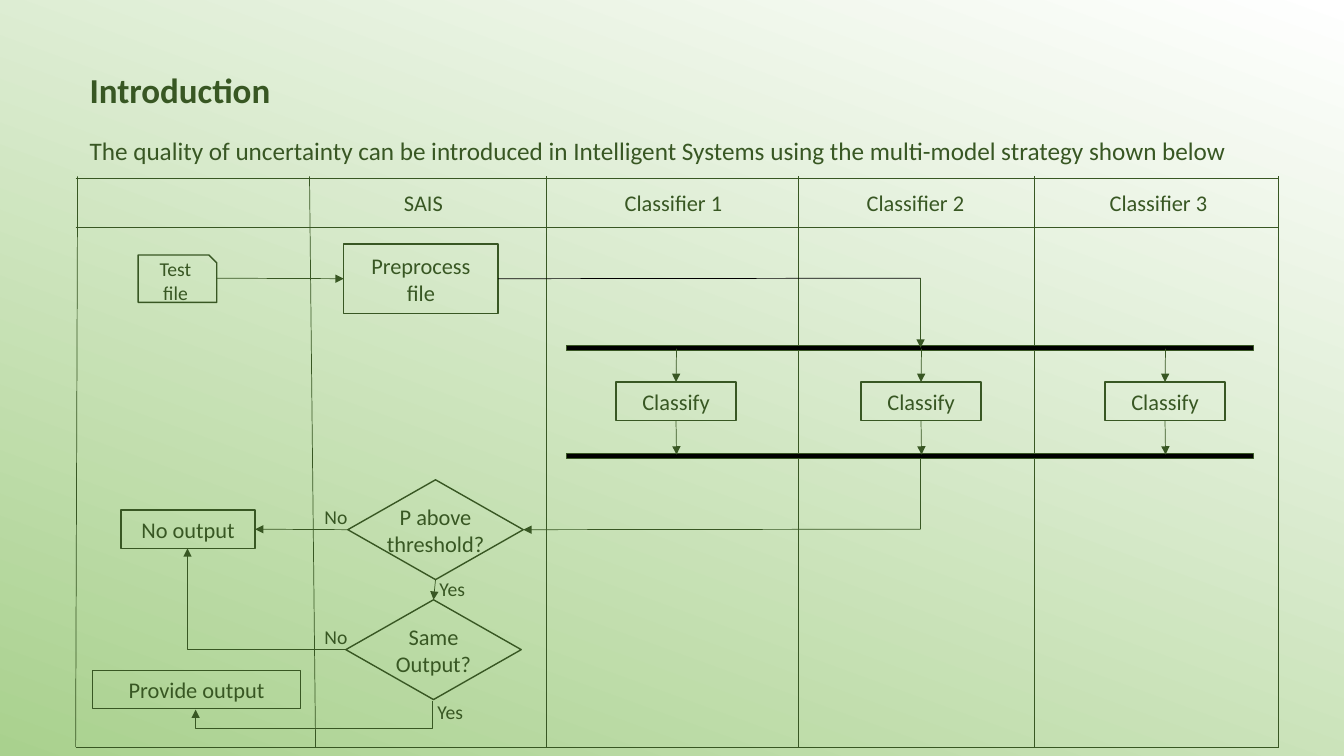
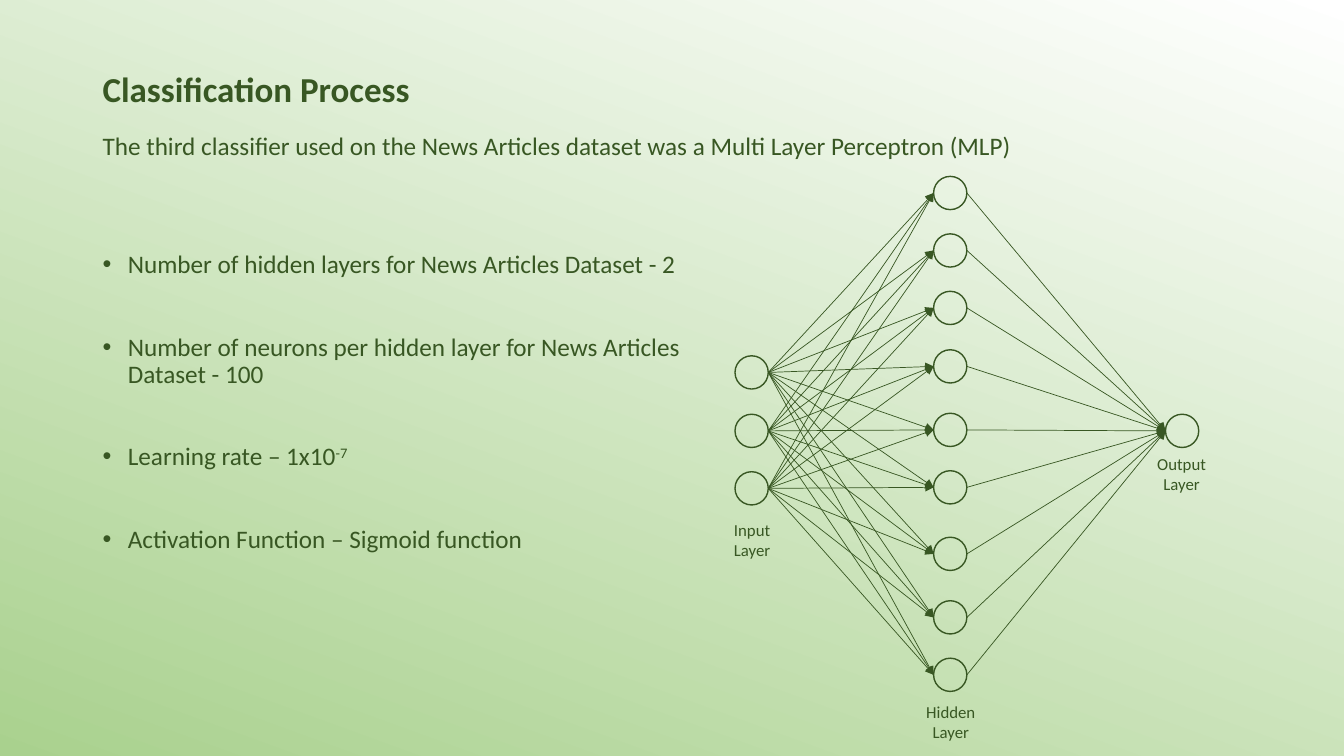
"""Build two slides on a multi-model classification strategy."""
from lxml import etree
from pptx import Presentation
from pptx.dml.color import RGBColor
from pptx.enum.shapes import MSO_CONNECTOR, MSO_SHAPE
from pptx.enum.text import MSO_ANCHOR, PP_ALIGN
from pptx.oxml.ns import qn
from pptx.util import Inches, Pt

COLORS = {"ink": "385723", "pale": "FFFFFF", "leaf": "A9D18E", "bar": "000000"}
FONT = "Calibri"
STRAIGHT, ELBOW = MSO_CONNECTOR.STRAIGHT, MSO_CONNECTOR.ELBOW
RECT, DIAMOND, OVAL = MSO_SHAPE.RECTANGLE, MSO_SHAPE.DIAMOND, MSO_SHAPE.OVAL
SNIPPED = MSO_SHAPE.SNIP_1_RECTANGLE
TOP, MIDDLE = MSO_ANCHOR.TOP, MSO_ANCHOR.MIDDLE
LEFT, CENTER, JUSTIFY = PP_ALIGN.LEFT, PP_ALIGN.CENTER, PP_ALIGN.JUSTIFY
TOP_SIDE, LEFT_SIDE, BOTTOM_SIDE, RIGHT_SIDE = range(4)
NODE = 0.33


def rgb(name):
    """Return a palette colour."""
    return RGBColor.from_string(COLORS[name])


def inches(values):
    """Convert numbers to lengths."""
    return [Inches(value) for value in values]


def add_bullet(paragraph):
    """Give a paragraph a hanging bullet."""
    properties = paragraph._p.get_or_add_pPr()
    properties.set("marL", str(Inches(0.25)))
    properties.set("indent", str(Inches(-0.25)))
    etree.SubElement(properties, qn("a:buFont")).set("typeface", "Arial")
    etree.SubElement(properties, qn("a:buChar")).set("char", "•")


def write(frame, text, size=16, bold=False, align=CENTER, anchor=TOP,
          wrap=True, spacing=1.0, before=0, bullet=False):
    """Write one paragraph a line; text after a caret is superscript."""
    frame.word_wrap = wrap
    frame.vertical_anchor = anchor
    for index, line in enumerate(text.split("\n")):
        paragraph = frame.paragraphs[0] if index == 0 else frame.add_paragraph()
        paragraph.alignment = align
        paragraph.line_spacing = spacing
        if index:
            paragraph.space_before = Pt(before)
        if bullet:
            add_bullet(paragraph)
        for position, part in enumerate(line.split("^")):
            run = paragraph.add_run()
            run.text = part
            run.font.name = FONT
            run.font.size = Pt(size)
            run.font.bold = bold
            run.font.color.rgb = rgb("ink")
            if position:
                run._r.get_or_add_rPr().set("baseline", "30000")


def add_text(slide, box, text, **style):
    """Add a text box."""
    write(slide.shapes.add_textbox(*inches(box)).text_frame, text, **style)


def add_node(slide, kind, box, text="", fill=None, size=16):
    """Add an outlined shape with optional centred text."""
    node = slide.shapes.add_shape(kind, *inches(box))
    node.shadow.inherit = False
    node.line.color.rgb = rgb("ink")
    node.line.width = Pt(1)
    if fill:
        node.fill.solid()
        node.fill.fore_color.rgb = rgb(fill)
    else:
        node.fill.background()
    if text:
        frame = node.text_frame
        frame.margin_left = frame.margin_right = 0
        frame.margin_top = frame.margin_bottom = 0
        write(frame, text, size=size, anchor=MIDDLE, wrap=False)
    return node


def add_line(slide, start, end, kind=STRAIGHT, arrow=True, color="ink",
             source=None, target=None):
    """Add a thin connector; source and target are (shape, side) pairs."""
    line = slide.shapes.add_connector(kind, *inches((*start, *end)))
    line.line.color.rgb = rgb(color)
    line.line.width = Pt(0.5)
    if arrow:
        etree.SubElement(line.line._get_or_add_ln(), qn("a:tailEnd")).set("type", "triangle")
    etree.SubElement(line._element.spPr, qn("a:effectLst"))
    if source:
        line.begin_connect(*source)
    if target:
        line.end_connect(*target)
    return line


def add_elbow(slide, box, preset, degrees, bend=None):
    """Add a rotated elbow arrow, given its box before rotation."""
    left, top, width, height = box
    elbow = add_line(slide, (left, top), (left + width, top + height), kind=ELBOW)
    properties = elbow._element.spPr
    properties.find(qn("a:xfrm")).set("rot", str(degrees * 60000))
    geometry = properties.find(qn("a:prstGeom"))
    geometry.set("prst", preset)
    if bend:
        guide = etree.SubElement(geometry.find(qn("a:avLst")), qn("a:gd"))
        guide.set("name", "adj1")
        guide.set("fmla", f"val {bend}")


def new_slide(deck, title, title_box, subtitle, subtitle_box, **subtitle_style):
    """Add a slide with the shared background, title and subtitle."""
    slide = deck.slides.add_slide(deck.slide_layouts[6])
    fill = slide.background.fill
    fill.gradient()
    fill.gradient_angle = 250
    for stop, position, color in zip(fill.gradient_stops, (0, 1), ("pale", "leaf")):
        stop.position = position
        stop.color.rgb = rgb(color)
    add_text(slide, title_box, title, size=25, bold=True, align=LEFT,
             anchor=MIDDLE, spacing=0.9)
    add_text(slide, subtitle_box, subtitle, size=18, **subtitle_style)
    return slide


def add_lanes(slide):
    """Draw the swimlane grid and its headings."""
    for y in (1.77, 2.26, 7.41):
        add_line(slide, (0.75, y), (12.69, y), arrow=False)
    for top_x, bottom_x in ((0.77, 0.75), (3.07, 3.13), (5.42, 5.42),
                            (7.92, 7.92), (10.26, 10.26), (12.68, 12.68)):
        add_line(slide, (top_x, 1.75), (bottom_x, 7.41), arrow=False)
    for center, heading in ((4.2, "SAIS"), (6.68, "Classifier 1"),
                            (9.08, "Classifier 2"), (11.49, "Classifier 3")):
        add_text(slide, (center - 0.75, 1.83, 1.5, 0.37), heading)


def add_classifiers(slide):
    """Draw the parallel classifiers between the fork and join bars."""
    for y in (3.43, 4.5):
        add_node(slide, RECT, (5.62, y, 6.81, 0.05), fill="bar")
    for left in (6.11, 8.54, 10.96):
        classify = add_node(slide, RECT, (left, 3.79, 1.19, 0.38), "Classify")
        center = left + 0.6
        add_line(slide, (center, 3.46), (center, 3.79), target=(classify, TOP_SIDE))
        add_line(slide, (center, 4.17), (center, 4.51), source=(classify, BOTTOM_SIDE))


def build_introduction(deck):
    """Build the multi-model strategy flowchart."""
    slide = new_slide(
        deck, "Introduction", (0.79, 0.56, 11.5, 0.7),
        "The quality of uncertainty can be introduced in Intelligent Systems "
        "using the multi-model strategy shown below",
        (0.79, 1.33, 11.51, 0.4), align=LEFT, spacing=0.9)
    add_lanes(slide)
    add_classifiers(slide)
    add_node(slide, SNIPPED, (1.37, 2.53, 0.78, 0.47), "Test\nfile", size=14)
    preprocess = add_node(slide, RECT, (3.41, 2.42, 1.53, 0.69), "Preprocess\nfile")
    threshold = add_node(slide, DIAMOND, (3.45, 4.76, 1.74, 0.99), "P above\nthreshold?")
    same = add_node(slide, DIAMOND, (3.43, 5.95, 1.74, 0.99), "Same\nOutput?")
    no_output = add_node(slide, RECT, (1.2, 5.06, 1.33, 0.38), "No output")
    add_node(slide, RECT, (0.92, 6.65, 2.06, 0.38), "Provide output")

    add_line(slide, (2.15, 2.76), (3.41, 2.76), target=(preprocess, LEFT_SIDE))
    add_line(slide, (4.94, 2.76), (9.13, 2.76), arrow=False, color="bar",
             source=(preprocess, RIGHT_SIDE))
    add_line(slide, (9.13, 2.76), (9.13, 3.45))
    add_line(slide, (9.13, 4.55), (9.13, 5.25), arrow=False)
    add_line(slide, (9.13, 5.25), (5.19, 5.25), target=(threshold, RIGHT_SIDE))
    add_line(slide, (3.45, 5.25), (2.53, 5.25),
             source=(threshold, LEFT_SIDE), target=(no_output, RIGHT_SIDE))
    add_line(slide, (4.32, 5.75), (4.3, 5.95),
             source=(threshold, BOTTOM_SIDE), target=(same, TOP_SIDE))
    add_elbow(slide, (1.86, 5.44, 1.57, 1), "bentConnector2", 180)
    add_elbow(slide, (3.07, 5.82, 0.09, 2.35), "bentConnector3", 90, bend=306100)
    for left, top, answer in ((3.12, 4.96, "No"), (3.12, 6.15, "No"),
                              (4.26, 5.67, "Yes"), (4.24, 6.89, "Yes")):
        add_text(slide, (left, top, 0.46, 0.34), answer, size=14, align=LEFT, wrap=False)


def add_layer(slide, left, tops):
    """Draw one column of neurons and return their tops' midlines."""
    for top in tops:
        add_node(slide, OVAL, (left, top, NODE, NODE))
    return [top + NODE / 2 for top in tops]


def link_layers(slide, left, starts, right, ends):
    """Link every neuron of one layer to every neuron of the next."""
    for start in starts:
        for end in ends:
            add_line(slide, (left + NODE, start), (right, end))


def build_classification(deck):
    """Build the perceptron slide."""
    slide = new_slide(
        deck, "Classification Process", (0.92, 0.72, 11.5, 0.36),
        "The third classifier used on the News Articles dataset was a "
        "Multi Layer Perceptron (MLP)",
        (0.92, 1.24, 11.5, 0.4), align=JUSTIFY)
    add_text(slide, (0.92, 2.45, 6.04, 4.9),
             "Number of hidden layers for News Articles Dataset - 2\n"
             "Number of neurons per hidden layer for News Articles Dataset - 100\n"
             "Learning rate – 1x10^-7\n"
             "Activation Function – Sigmoid function",
             size=18, align=LEFT, spacing=0.9, before=39.5, bullet=True)
    input_x, hidden_x, output_x = 7.29, 9.26, 11.56
    inputs = add_layer(slide, input_x, (3.53, 4.11, 4.68))
    hidden = add_layer(slide, hidden_x,
                       (1.75, 2.32, 2.89, 3.47, 4.1, 4.67, 5.33, 5.96, 6.53))
    outputs = add_layer(slide, output_x, (4.11,))
    link_layers(slide, input_x, inputs, hidden_x, hidden)
    link_layers(slide, hidden_x, hidden, output_x, outputs)
    for box, label in (((7.13, 5.11, 0.66, 0.5), "Input Layer"),
                       ((8.92, 6.91, 1.02, 0.5), "Hidden Layer"),
                       ((11.21, 4.45, 1.02, 0.5), "Output Layer")):
        add_text(slide, box, label, size=12)


def main():
    """Build and save the deck."""
    deck = Presentation()
    deck.slide_width, deck.slide_height = inches((13.33, 7.5))
    build_introduction(deck)
    build_classification(deck)
    deck.save("out.pptx")


if __name__ == "__main__":
    main()
